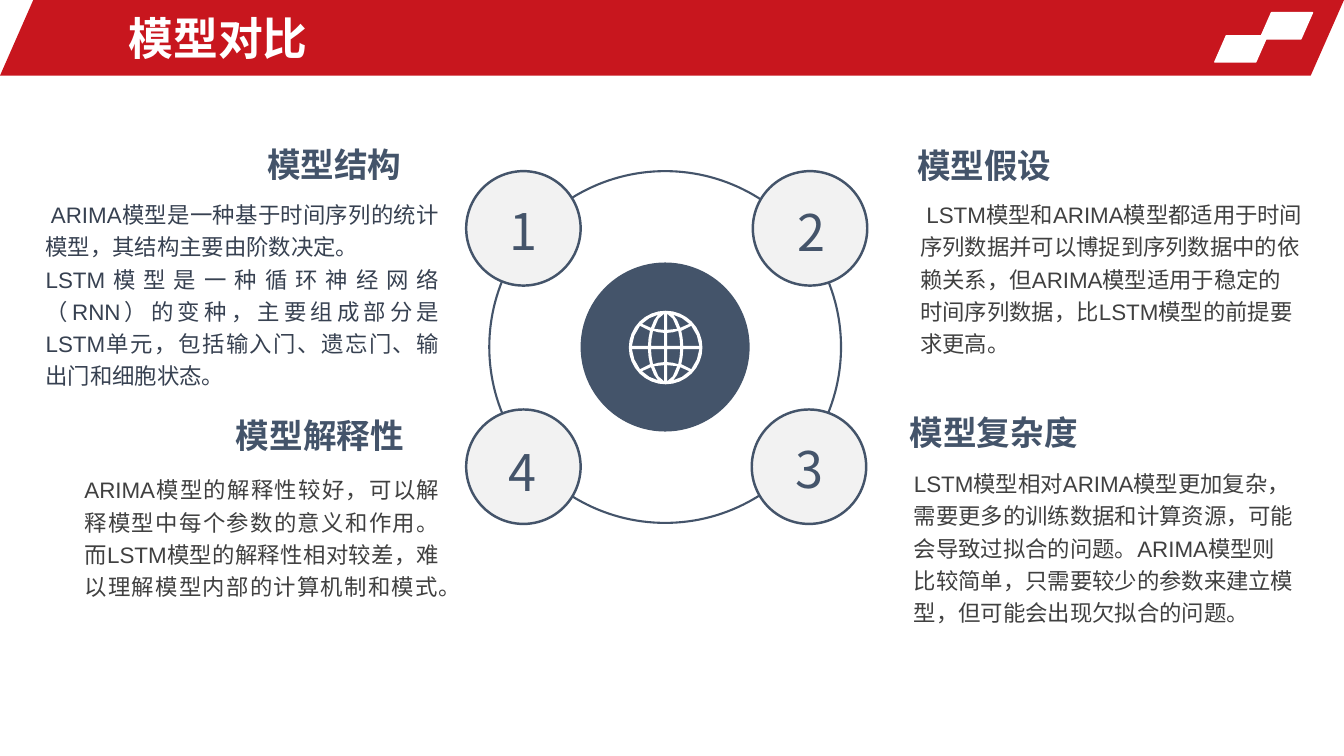
from dataclasses import dataclass
from itertools import product
from math import cos, pi, sin

from lxml import etree
from pptx import Presentation
from pptx.dml.color import RGBColor
from pptx.enum.shapes import MSO_SHAPE
from pptx.enum.text import MSO_ANCHOR, MSO_AUTO_SIZE, PP_ALIGN
from pptx.oxml.ns import qn
from pptx.util import Emu, Pt

PX = 9525
GLOBE_UNIT = PX * 0.096
RIM_POINTS = 32
BADGE_SIZE = 109
ELLIPSE = MSO_SHAPE.OVAL
SLANT = MSO_SHAPE.PARALLELOGRAM
LEFT, RIGHT, JUSTIFY = PP_ALIGN.LEFT, PP_ALIGN.RIGHT, PP_ALIGN.JUSTIFY
MIDDLE, TOP = MSO_ANCHOR.MIDDLE, MSO_ANCHOR.TOP
GROW = MSO_AUTO_SIZE.SHAPE_TO_FIT_TEXT
NO_GROW = MSO_AUTO_SIZE.NONE
ARIAL, NOTO = "Arial", "Noto Sans CJK SC"
RED, WHITE, NAVY, PALE = "C8161E", "FFFFFF", "44546A", "F2F2F2"
GREY, INK = "404040", "374151"

Area = tuple[int, int, int, int]
Point = tuple[float, float]


@dataclass
class Figure:
    preset: int
    area: Area
    fill: str = ""
    line: str = ""
    weight: float = 0


@dataclass
class Label:
    area: Area
    paragraphs: list[str]
    size: int
    color: str
    font: str = ARIAL
    bold: bool = False
    align: int = LEFT
    spacing: float = 1.0
    wrap: bool = True
    anchor: int = TOP
    autosize: int = GROW


@dataclass
class Badge:
    number: str
    left: int
    top: int
    text_left: int
    text_top: int


def rgb(color: str) -> RGBColor:
    return RGBColor.from_string(color)


def draw_figure(page, figure: Figure) -> None:
    shape = page.shapes.add_shape(figure.preset, *(Emu(v * PX) for v in figure.area))
    shape.shadow.inherit = False
    if figure.preset == SLANT:
        shape.adjustments[0] = 0.44
    if figure.fill:
        shape.fill.solid()
        shape.fill.fore_color.rgb = rgb(figure.fill)
    else:
        shape.fill.background()
    if figure.line:
        shape.line.color.rgb = rgb(figure.line)
        shape.line.width = Pt(figure.weight)
    else:
        shape.line.fill.background()


def draw_label(page, label: Label) -> None:
    box = page.shapes.add_textbox(*(Emu(v * PX) for v in label.area))
    frame = box.text_frame
    frame.word_wrap = label.wrap
    frame.auto_size = label.autosize
    frame.vertical_anchor = label.anchor
    frame.text = "\n".join(label.paragraphs)
    for para in frame.paragraphs:
        para.alignment = label.align
        para.line_spacing = label.spacing
        para.font.size = Pt(label.size)
        para.font.bold = label.bold
        para.font.color.rgb = rgb(label.color)
        para.font.name = label.font
        defaults = para._p.pPr.find(qn("a:defRPr"))
        etree.SubElement(defaults, qn("a:ea")).set("typeface", NOTO)


def trace(start: Point, sides: list[list[Point]], steps: int = 2) -> list[Point]:
    points = [start]
    for side in sides:
        if len(side) == 1:
            points.append(side[0])
            continue
        corners = [points[-1], *side]
        for step in range(1, steps + 1):
            t = step / steps
            weights = ((1 - t) ** 3, 3 * t * (1 - t) ** 2, 3 * t * t * (1 - t), t ** 3)
            points.append((sum(w * c[0] for w, c in zip(weights, corners)),
                           sum(w * c[1] for w, c in zip(weights, corners))))
    return points


def draw_globe(page, center: tuple[int, int], radius: int) -> None:
    panes = [
        trace((15, 145), [[(55, 145), (85, 155), (125, 165)],
                          [(135, 115), (145, 65), (145, 15)], [(15, 15)]]),
        trace((15, 175), [[(15, 335)], [(55, 325), (95, 265), (115, 185)],
                          [(85, 185), (45, 175), (15, 175)]]),
        trace((175, 15), [[(335, 15)], [(325, 85), (305, 155), (255, 215)],
                          [(225, 195), (185, 185), (155, 165)],
                          [(165, 120), (175, 70), (175, 15)]]),
        trace((235, 235), [[(205, 225), (175, 205), (145, 195)],
                           [(125, 255), (105, 295), (75, 325)],
                           [(135, 315), (195, 275), (235, 235)]]),
    ]
    angles = [2 * pi * i / RIM_POINTS for i in range(1, RIM_POINTS)]
    builder = page.shapes.build_freeform(radius, 0, GLOBE_UNIT)
    builder.add_line_segments([(radius * cos(a), radius * sin(a)) for a in angles], close=True)
    for pane, across, down in product(panes, (1, -1), (1, -1)):
        corners = [(x * across, y * down) for x, y in pane]
        builder.move_to(*corners[0])
        builder.add_line_segments(corners[1:], close=corners[-1] != corners[0])
    globe = builder.convert_to_shape(Emu(center[0] * PX), Emu(center[1] * PX))
    globe.shadow.inherit = False
    globe.fill.solid()
    globe.fill.fore_color.rgb = rgb(WHITE)
    globe.line.fill.background()


FIGURES = [
    Figure(SLANT, (0, 0, 1280, 72), RED),
    Figure(SLANT, (1200, 12, 50, 25), WHITE, WHITE, 1),
    Figure(SLANT, (1157, 34, 50, 25), WHITE, WHITE, 1),
    Figure(ELLIPSE, (553, 250, 161, 161), NAVY),
    Figure(ELLIPSE, (466, 163, 335, 335), line=NAVY, weight=1.5),
]
BADGES = [
    Badge("1", 444, 163, 476, 186),
    Badge("2", 717, 163, 750, 187),
    Badge("3", 716, 390, 748, 413),
    Badge("4", 444, 390, 475, 415),
]
LABELS = [
    Label((113, 5, 743, 62), ["模型对比"], 32, WHITE, bold=True, anchor=MIDDLE, autosize=NO_GROW),
    Label((245, 132, 149, 48), ["模型结构"], 24, NAVY, NOTO, True, wrap=False),
    Label((118, 390, 276, 48), ["模型解释性"], 24, NAVY, bold=True, align=RIGHT),
    Label((857, 388, 180, 48), ["模型复杂度"], 24, NAVY, bold=True),
    Label((864, 133, 149, 48), ["模型假设"], 24, NAVY, bold=True, wrap=False),
    Label((34, 182, 394, 162), [
        " ARIMA模型是一种基于时间序列的统计模型，其结构主要由阶数决定。",
        "LSTM模型是一种循环神经网络（RNN）的变种，主要组成部分是LSTM单元，"
        "包括输入门、遗忘门、输出门和细胞状态。",
    ], 16, INK, align=JUSTIFY, spacing=1.2),
    Label((71, 444, 357, 132), [
        "ARIMA模型的解释性较好，可以解释模型中每个参数的意义和作用。"
        "而LSTM模型的解释性相对较差，难以理解模型内部的计算机制和模式。",
    ], 16, GREY, align=JUSTIFY, spacing=1.2),
    Label((867, 182, 383, 162), [
        " LSTM模型和ARIMA模型都适用于时间序列数据并可以博捉到序列数据中的依赖关系，"
        "但ARIMA模型适用于稳定的时间序列数据，比LSTM模型的前提要求更高。",
    ], 16, GREY, spacing=1.2),
    Label((861, 438, 383, 162), [
        "LSTM模型相对ARIMA模型更加复杂，需要更多的训练数据和计算资源，可能会导致过拟合的问题。"
        "ARIMA模型则比较简单，只需要较少的参数来建立模型，但可能会出现欠拟合的问题。",
    ], 16, GREY, spacing=1.2),
]


def main() -> None:
    deck = Presentation()
    deck.slide_width, deck.slide_height = Emu(1280 * PX), Emu(720 * PX)
    page = deck.slides.add_slide(deck.slide_layouts[6])
    for figure in FIGURES:
        draw_figure(page, figure)
    for label in LABELS:
        draw_label(page, label)
    for badge in BADGES:
        area = (badge.left, badge.top, BADGE_SIZE, BADGE_SIZE)
        draw_figure(page, Figure(ELLIPSE, area, PALE, NAVY, 1.75))
        draw_label(page, Label((badge.text_left, badge.text_top, 125, 68),
                               [badge.number], 36, NAVY, NOTO))
    draw_globe(page, (634, 331), 365)
    deck.save("out.pptx")


if __name__ == "__main__":
    main()
